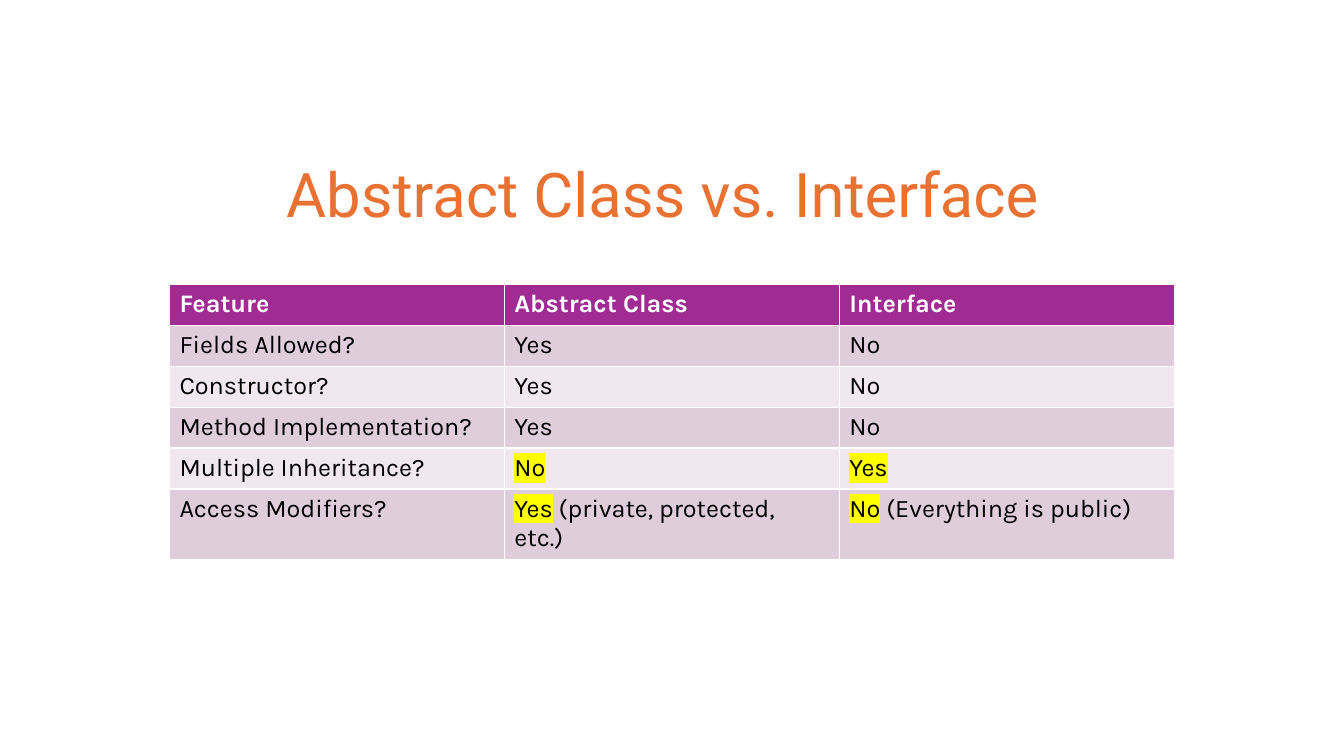
"""Build a slide that compares abstract classes with interfaces in a table."""
import pptx
import pptx.dml.color
import pptx.oxml
import pptx.oxml.ns
import pptx.util

Cm = pptx.util.Cm
Pt = pptx.util.Pt
RGBColor = pptx.dml.color.RGBColor

ORANGE = RGBColor(0xE9, 0x71, 0x32)
PURPLE = RGBColor(0xA0, 0x2B, 0x93)
MAUVE = RGBColor(0xDF, 0xCD, 0xDC)
PALE = RGBColor(0xF0, 0xE8, 0xEE)
WHITE = RGBColor(0xFF, 0xFF, 0xFF)
BLACK = RGBColor(0, 0, 0)
YELLOW = RGBColor(0xFF, 0xFF, 0)

TITLE = {"name": "Roboto", "size": Pt(44)}
HEAD = {"name": "Karla", "size": Pt(18), "bold": True}
BODY = {"name": "Karla", "size": Pt(18), "bold": False}

ROWS = [
    ["Feature", "Abstract Class", "Interface"],
    ["Fields Allowed?", "Yes", "No"],
    ["Constructor?", "Yes", "No"],
    ["Method Implementation?", "Yes", "No"],
    ["Multiple Inheritance?", "No", "Yes"],
    ["Access Modifiers?", "Yes (private, protected, etc.)", "No (Everything is public)"],
]
MARKED = (4, 5)


def write(para, text, style, color):
    run = para.add_run()
    run.text = text
    for key, value in style.items():
        setattr(run.font, key, value)
    run.font.color.rgb = color
    return run


def mark(run):
    names = pptx.oxml.ns.nsdecls("a")
    light = pptx.oxml.parse_xml(
        f'<a:highlight {names}><a:srgbClr val="{YELLOW}"/></a:highlight>')
    props = run._r.get_or_add_rPr()
    props.find(pptx.oxml.ns.qn("a:latin")).addprevious(light)


deck = pptx.Presentation()
deck.slide_width = Cm(33.87)
deck.slide_height = Cm(19.05)
slide = deck.slides.add_slide(deck.slide_layouts[6])

title = slide.shapes.add_textbox(Cm(6.96), Cm(3.81), Cm(19.96), Cm(2.14))
title.text_frame.word_wrap = True
write(title.text_frame.paragraphs[0], "Abstract Class vs. Interface", TITLE, ORANGE)

table = slide.shapes.add_table(
    len(ROWS), 3, Cm(4.27), Cm(7.17), Cm(25.32), Cm(6.18)).table

for r, row in enumerate(ROWS):
    for c, text in enumerate(row):
        cell = table.cell(r, c)
        cell.fill.solid()
        para = cell.text_frame.paragraphs[0]
        if r == 0:
            cell.fill.fore_color.rgb = PURPLE
            write(para, text, HEAD, WHITE)
            continue
        cell.fill.fore_color.rgb = MAUVE if r % 2 else PALE
        if r in MARKED and c > 0:
            word, space, rest = text.partition(" ")
            mark(write(para, word, BODY, BLACK))
            if rest:
                write(para, space + rest, BODY, BLACK)
        else:
            write(para, text, BODY, BLACK)

deck.save("out.pptx")
